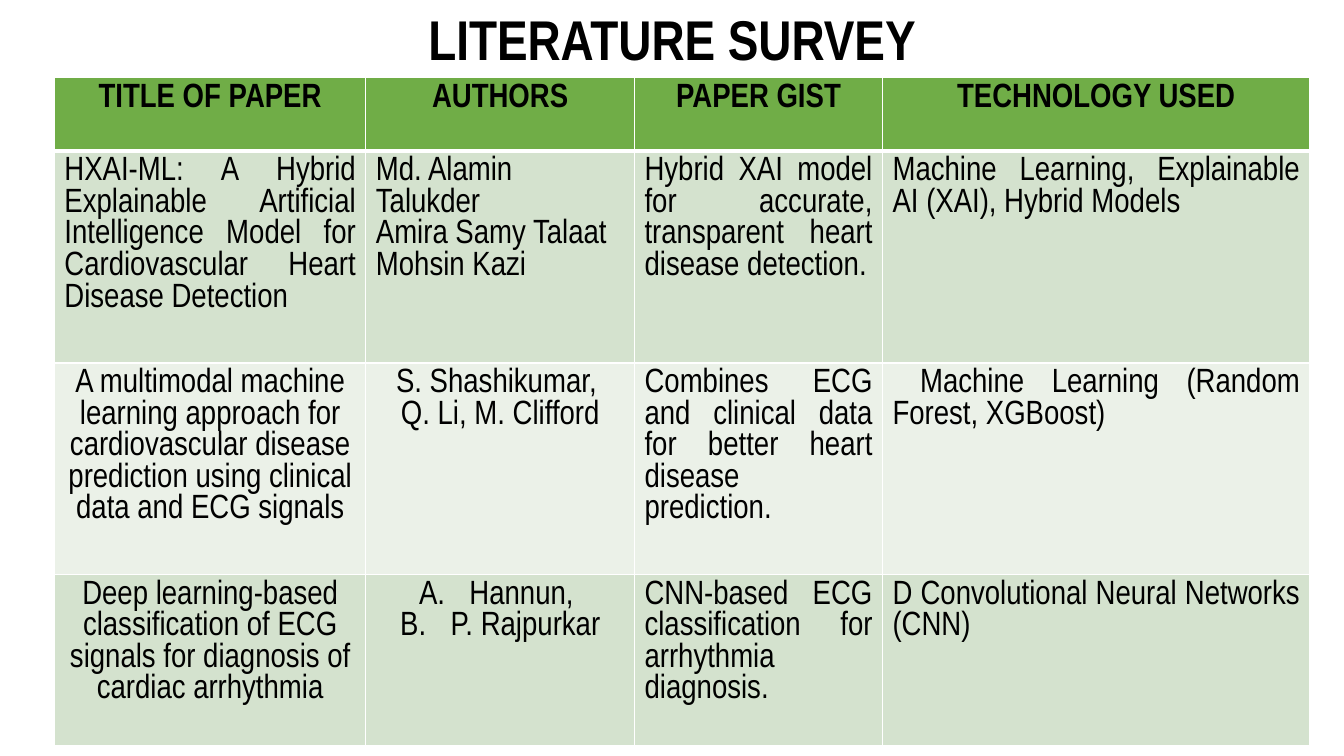
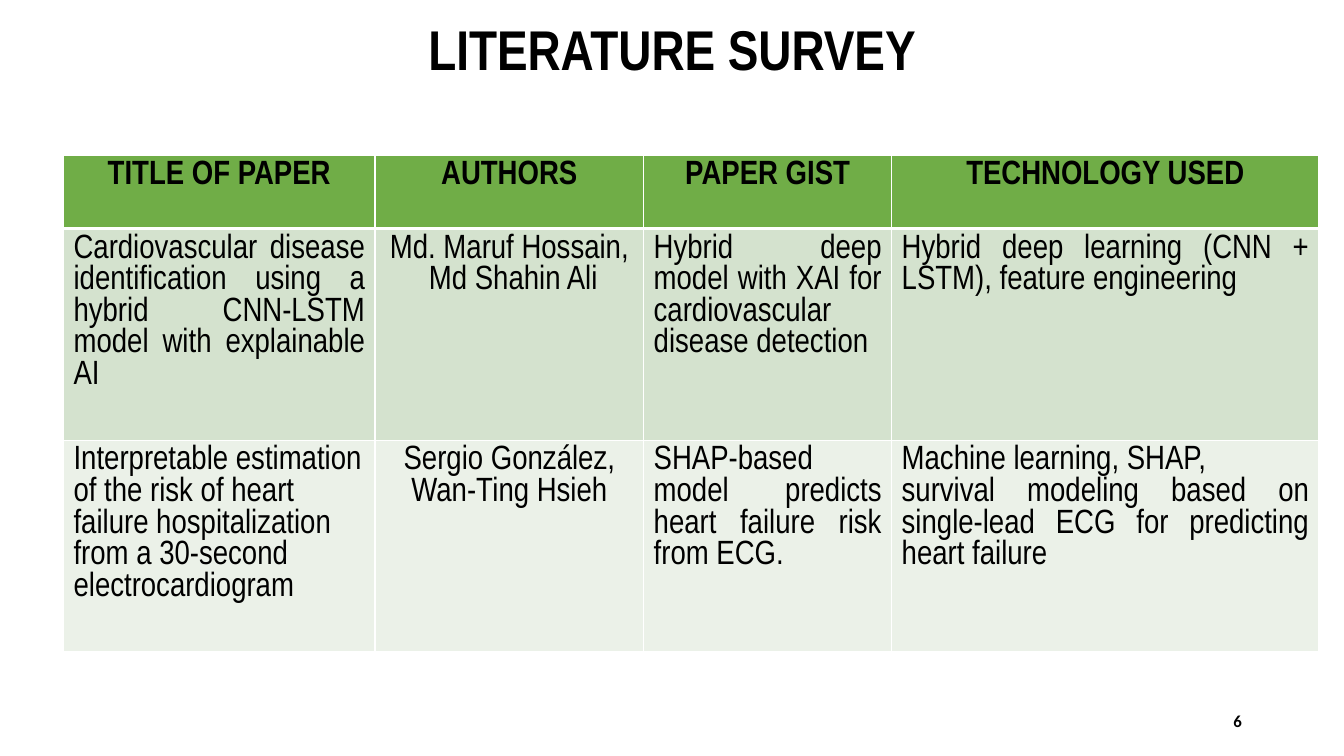
from lxml import etree
from pptx import Presentation
from pptx import util as u
from pptx.dml import color
from pptx.enum import text
from pptx.oxml import ns

COLORS = {"ink": "000000", "header": "70AD47", "odd": "D4E2CE", "even": "EBF1E8", "rule": "FFFFFF"}
FORMATS = {
    "title": {"size": u.Pt(40), "name": "Arial Narrow", "bold": True},
    "header": {"size": u.Pt(24), "name": "Arial Narrow", "bold": True},
    "body": {"size": u.Pt(24), "name": "Arial Narrow", "bold": False},
    "number": {"size": u.Pt(12), "name": "Calibri", "bold": True},
}
ALIGN = {
    "left": text.PP_ALIGN.LEFT,
    "center": text.PP_ALIGN.CENTER,
    "right": text.PP_ALIGN.RIGHT,
    "justify": text.PP_ALIGN.JUSTIFY,
    "lettered": text.PP_ALIGN.CENTER,
}

TITLE = "LITERATURE SURVEY"
HEADINGS = ["TITLE OF PAPER", "AUTHORS", "PAPER GIST", "TECHNOLOGY USED"]
COLUMN_WIDTHS = [7.85, 6.77, 6.25, 10.77]
HEADER_HEIGHT = 1.85

SURVEYS = [
    {
        "title_top": 0, "table_at": (1.37, 1.96), "row_heights": [5.33, 5.33, 4.32], "number": None,
        "papers": [
            [("justify", ["HXAI-ML: A Hybrid Explainable Artificial Intelligence Model for Cardiovascular Heart Disease Detection"]),
             ("left", ["Md. Alamin\vTalukder", "Amira Samy Talaat", "Mohsin Kazi"]),
             ("justify", ["Hybrid XAI model for accurate, transparent heart disease detection."]),
             ("justify", ["Machine Learning, Explainable AI (XAI), Hybrid Models"])],
            [("center", ["A multimodal machine learning approach for cardiovascular disease prediction using clinical data and ECG signals"]),
             ("center", ["S. Shashikumar, ", "Q. Li, M. Clifford"]),
             ("justify", ["Combines ECG and clinical data for better heart disease prediction."]),
             ("justify", [" Machine Learning (Random Forest, XGBoost)"])],
            [("center", ["Deep learning-based classification of ECG signals for diagnosis of cardiac arrhythmia"]),
             ("lettered", ["Hannun, ", "P. Rajpurkar"]),
             ("justify", ["CNN-based ECG classification for arrhythmia diagnosis."]),
             ("justify", ["D Convolutional Neural Networks (CNN)"])],
        ],
    },
    {
        "title_top": 0.25, "table_at": (1.6, 3.91), "row_heights": [5.33, 5.33], "number": "6",
        "papers": [
            [("justify", ["Cardiovascular disease identification using a hybrid CNN-LSTM model with explainable AI"]),
             ("center", ["Md. Maruf Hossain,", " Md Shahin Ali"]),
             ("justify", ["Hybrid deep model with XAI for cardiovascular disease detection"]),
             ("justify", ["Hybrid deep learning (CNN + LSTM), feature engineering"])],
            [("left", ["Interpretable estimation of the risk of heart failure hospitalization from a 30-second electrocardiogram"]),
             ("center", ["Sergio González, Wan-Ting Hsieh"]),
             ("justify", ["SHAP-based model predicts heart failure risk from ECG."]),
             ("justify", ["Machine learning, SHAP,",
                          "survival modeling based on single-lead ECG for predicting heart failure"])],
        ],
    },
]


def rgb(name):
    return color.RGBColor.from_string(COLORS[name])


def write(frame, lines, style, align):
    for index, line in enumerate(lines):
        para = frame.add_paragraph() if index else frame.paragraphs[0]
        para.text = line
        para.alignment = ALIGN[align]
        if align == "lettered":
            props = para._p.get_or_add_pPr()
            props.set("marL", str(u.Cm(1.27)))
            props.set("indent", str(-u.Cm(1.27)))
            etree.SubElement(props, ns.qn("a:buAutoNum"), type="alphaUcPeriod")
        for span in para.runs:
            for key, value in FORMATS[style].items():
                setattr(span.font, key, value)
            span.font.color.rgb = rgb("ink")


def add_text(page, place, line, style, align, anchor):
    box = page.shapes.add_textbox(*map(u.Cm, place))
    box.text_frame.word_wrap = True
    box.text_frame.vertical_anchor = anchor
    write(box.text_frame, [line], style, align)


def add_borders(cell, widths):
    props = cell._tc.get_or_add_tcPr()
    for side, width in widths.items():
        line = etree.SubElement(props, ns.qn("a:ln" + side), w=str(u.Pt(width)))
        fill = etree.SubElement(line, ns.qn("a:solidFill"))
        etree.SubElement(fill, ns.qn("a:srgbClr"), val=COLORS["rule"])


def add_survey_table(page, survey):
    heights = [HEADER_HEIGHT] + survey["row_heights"]
    rows = [[("center", [heading]) for heading in HEADINGS]] + survey["papers"]
    place = (*survey["table_at"], sum(COLUMN_WIDTHS), sum(heights))
    table = page.shapes.add_table(len(rows), len(HEADINGS), *map(u.Cm, place)).table
    for column, width in zip(table.columns, COLUMN_WIDTHS):
        column.width = u.Cm(width)
    for number, (row, height, entries) in enumerate(zip(table.rows, heights, rows)):
        row.height = u.Cm(height)
        style = "body" if number else "header"
        shade = ("even", "odd")[number % 2] if number else "header"
        widths = {"L": 1, "R": 1, "T": 3 if number == 1 else 1, "B": 1 if number else 3}
        for cell, (align, lines) in zip(row.cells, entries):
            add_borders(cell, widths)
            cell.fill.solid()
            cell.fill.fore_color.rgb = rgb(shade)
            write(cell.text_frame, lines, style, align)


def main():
    deck = Presentation()
    deck.slide_width, deck.slide_height = u.Cm(33.87), u.Cm(19.05)
    for survey in SURVEYS:
        page = deck.slides.add_slide(deck.slide_layouts[6])
        if survey["number"]:
            add_text(page, (23.93, 17.65, 7.62, 1.01), survey["number"], "number", "right",
                     text.MSO_ANCHOR.MIDDLE)
        add_text(page, (0.2, survey["title_top"], 33.48, 1.96), TITLE, "title", "center",
                 text.MSO_ANCHOR.TOP)
        add_survey_table(page, survey)
    deck.save("out.pptx")


if __name__ == "__main__":
    main()
